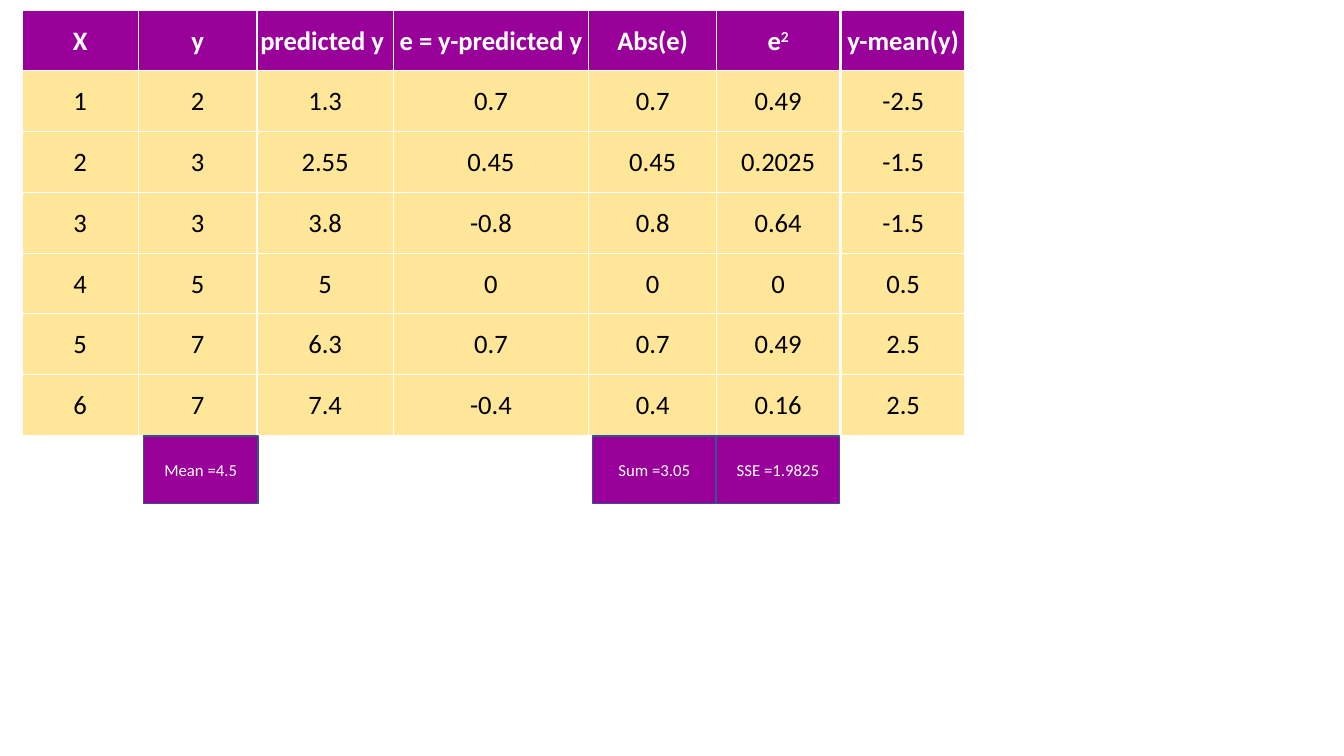
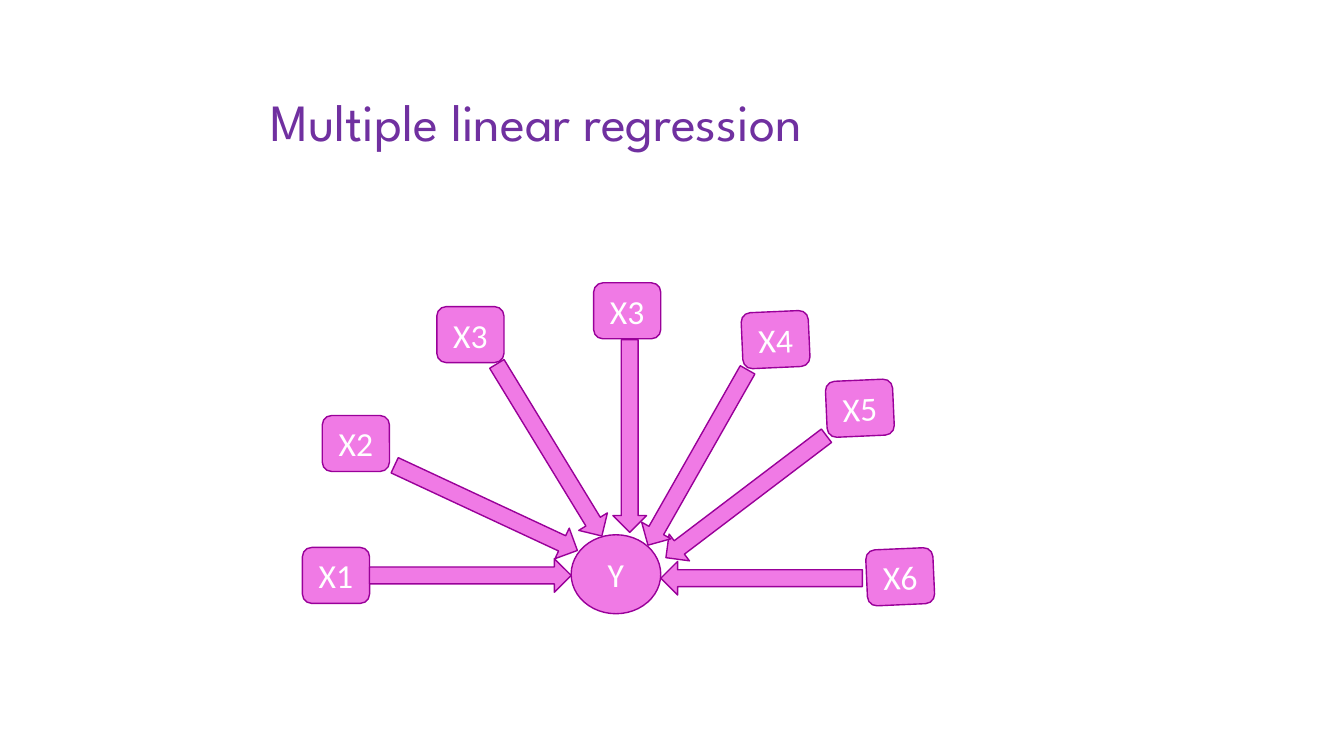
"""Build two slides on linear regression: an error table and a predictor diagram."""
import lxml.etree
import pptx
import pptx.dml.color
import pptx.enum.shapes
import pptx.enum.text
import pptx.oxml.ns
import pptx.util

Pt = pptx.util.Pt
SHAPES = pptx.enum.shapes.MSO_SHAPE
CENTER = pptx.enum.text.PP_ALIGN.CENTER
MIDDLE = pptx.enum.text.MSO_ANCHOR.MIDDLE

COLORS = {
    "white": "FFFFFF",
    "black": "000000",
    "purple": "990099",
    "cream": "FFE699",
    "pink": "F07AE5",
    "navy": "325491",
    "title": "7030A0",
}
BODY_FONT = "Calibri"
TITLE_FONT = "League Spartan"

TITLE = "Multiple linear regression"

ERROR_ROWS = [
    ["X", "y", "predicted y ", "e = y-predicted y", "Abs(e)", ("e", "2")],
    ["1", "2", "1.3", "0.7", "0.7", "0.49"],
    ["2", "3", "2.55", "0.45", "0.45", "0.2025"],
    ["3", "3", "3.8", "-0.8", "0.8", "0.64"],
    ["4", "5", "5", "0", "0", "0"],
    ["5", "7", "6.3", "0.7", "0.7", "0.49"],
    ["6", "7", "7.4", "-0.4", "0.4", "0.16"],
]
DEVIATION_ROWS = [["y-mean(y)"], ["-2.5"], ["-1.5"], ["-1.5"], ["0.5"], ["2.5"], ["2.5"]]
TABLES = [
    (15.84, [82.8, 85, 97.2, 139.7, 91.4, 87.8], ERROR_ROWS),
    (601.2, [87.8], DEVIATION_ROWS),
]
TABLE_TOP, ROW_HEIGHT = 7.2, 43.4

SUMMARIES = [("Mean =4.5", 102.4, 82), ("Sum =3.05", 423.4, 88), ("SSE =1.9825", 511.7, 88)]
SUMMARY_TOP, SUMMARY_HEIGHT = 311.5, 48

TARGET = ("Y", 408, 382, 64, 56.4)
BOX_WIDTH, BOX_HEIGHT = 48, 40
PREDICTORS = [
    ("X1", 216, 391, 0),
    ("X2", 230.2, 296.8, 0),
    ("X3", 312, 219, 0),
    ("X3", 424, 202, 0),
    ("X4", 530, 222.6, 357.5),
    ("X5", 590.2, 271.6, 357.5),
    ("X6", 619, 392, 357.5),
]
ARROW_HEIGHT = 24
ARROWS = [
    (264, 399, 144, 0),
    (275.2, 350.8, 144, 25),
    (320.4, 309.4, 144, 58.6),
    (381, 299.5, 137.6, 90),
    (472, 401, 144, 180),
    (461, 342.8, 144, 142.8),
    (426.4, 314.8, 144, 119.6),
]


def rgb(name):
    return pptx.dml.color.RGBColor.from_string(COLORS[name])


def add_run(paragraph, text, size, color, font=BODY_FONT, bold=False):
    run = paragraph.add_run()
    run.text = text
    run.font.name = font
    run.font.size = Pt(size)
    run.font.bold = bold
    run.font.color.rgb = rgb(color)
    return run


def add_shape(slide, kind, box, fill, line, text="", size=24, rotation=0):
    shape = slide.shapes.add_shape(kind, *map(Pt, box))
    shape.shadow.inherit = False
    shape.rotation = rotation
    shape.fill.solid()
    shape.fill.fore_color.rgb = rgb(fill)
    shape.line.color.rgb = rgb(line)
    shape.line.width = Pt(1)
    if text:
        shape.text_frame.vertical_anchor = MIDDLE
        paragraph = shape.text_frame.paragraphs[0]
        paragraph.alignment = CENTER
        add_run(paragraph, text, size, "white")


def style_cell(cell, content, header):
    properties = cell._tc.get_or_add_tcPr()
    for side in ("lnL", "lnR", "lnT", "lnB"):
        border = lxml.etree.SubElement(
            properties, pptx.oxml.ns.qn(f"a:{side}"), w=str(int(Pt(1))))
        fill = lxml.etree.SubElement(border, pptx.oxml.ns.qn("a:solidFill"))
        lxml.etree.SubElement(fill, pptx.oxml.ns.qn("a:srgbClr"), val=COLORS["white"])
    cell.fill.solid()
    cell.fill.fore_color.rgb = rgb("purple" if header else "cream")
    cell.margin_left = cell.margin_right = cell.margin_top = Pt(0.7)
    cell.margin_bottom = 0
    cell.vertical_anchor = MIDDLE
    paragraph = cell.text_frame.paragraphs[0]
    paragraph.alignment = CENTER
    base, *exponents = (content,) if isinstance(content, str) else content
    color = "white" if header else "black"
    add_run(paragraph, base, 19, color, bold=header)
    for exponent in exponents:
        run = add_run(paragraph, exponent, 19, color, bold=header)
        run.font._element.set("baseline", "30000")


def add_table(slide, left, widths, rows):
    frame = slide.shapes.add_table(
        len(rows), len(widths), Pt(left), Pt(TABLE_TOP),
        Pt(sum(widths)), Pt(ROW_HEIGHT * len(rows)))
    table = frame.table
    for column, width in zip(table.columns, widths):
        column.width = Pt(width)
    for row_index, row in enumerate(rows):
        table.rows[row_index].height = Pt(ROW_HEIGHT)
        for column_index, content in enumerate(row):
            style_cell(table.cell(row_index, column_index), content, row_index == 0)


def build_error_slide(presentation):
    slide = presentation.slides.add_slide(presentation.slide_layouts[6])
    for left, widths, rows in TABLES:
        add_table(slide, left, widths, rows)
    for text, left, width in SUMMARIES:
        box = (left, SUMMARY_TOP, width, SUMMARY_HEIGHT)
        add_shape(slide, SHAPES.RECTANGLE, box, "purple", "navy", text, 12)


def build_diagram_slide(presentation):
    slide = presentation.slides.add_slide(presentation.slide_layouts[5])
    title = slide.shapes.title
    title.left, title.top, title.width, title.height = map(Pt, (185.8, 44, 533.5, 90.7))
    title.text_frame.vertical_anchor = MIDDLE
    paragraph = title.text_frame.paragraphs[0]
    paragraph.alignment = pptx.enum.text.PP_ALIGN.LEFT
    paragraph.line_spacing = 0.9
    add_run(paragraph, TITLE, 37.3, "title", TITLE_FONT)

    label, *target_box = TARGET
    add_shape(slide, SHAPES.OVAL, target_box, "pink", "purple", label)
    for label, left, top, rotation in PREDICTORS:
        box = (left, top, BOX_WIDTH, BOX_HEIGHT)
        add_shape(slide, SHAPES.ROUNDED_RECTANGLE, box, "pink", "purple", label,
                  rotation=rotation)
    for left, top, length, rotation in ARROWS:
        box = (left, top, length, ARROW_HEIGHT)
        add_shape(slide, SHAPES.RIGHT_ARROW, box, "pink", "purple", rotation=rotation)


def main():
    presentation = pptx.Presentation()
    presentation.slide_width, presentation.slide_height = Pt(960), Pt(540)
    build_error_slide(presentation)
    build_diagram_slide(presentation)
    presentation.save("out.pptx")


if __name__ == "__main__":
    main()
